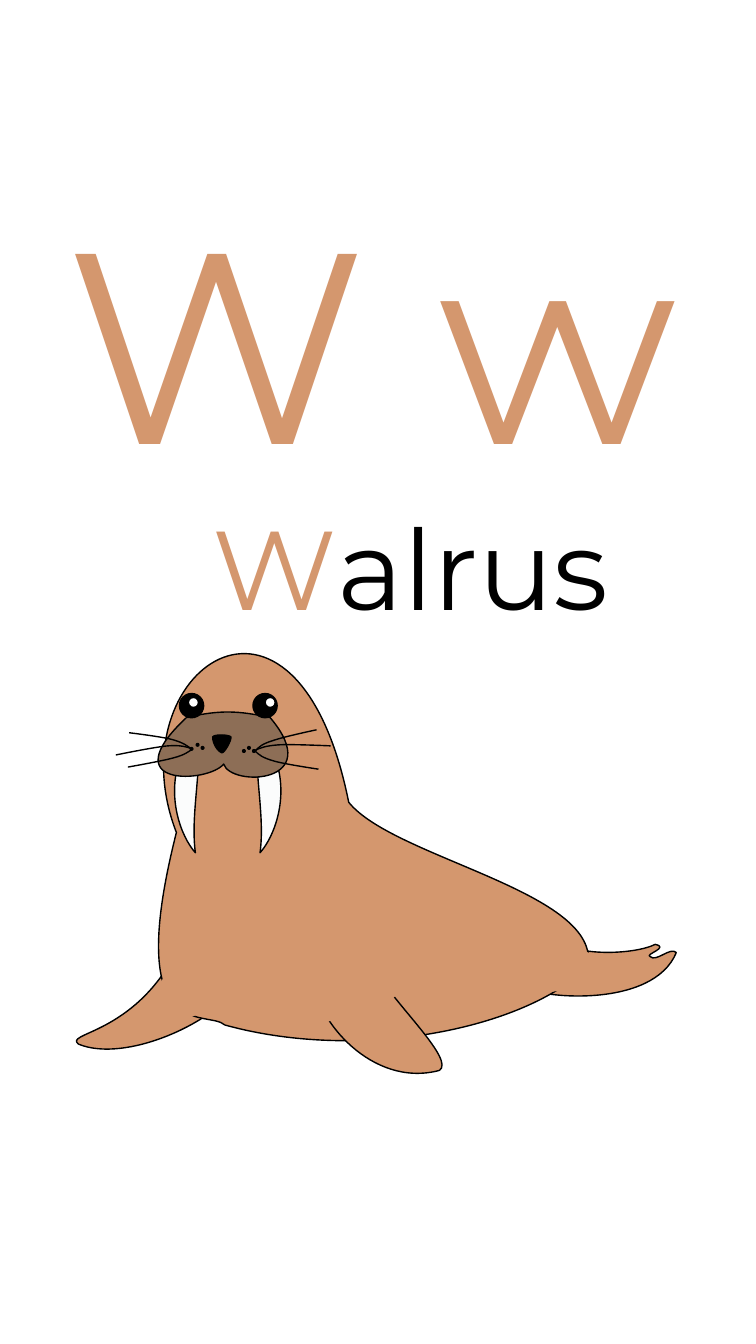
import pptx
import pptx.util
import pptx.dml.color
import pptx.enum.shapes
import pptx.enum.text
import pptx.oxml.ns
import lxml.etree

# Content: all coordinates are points on the slide
COLOURS = {"hide": "D4976E", "muzzle": "8D6E56", "tusk": "FBFCFC",
           "black": "000000", "white": "FFFFFF"}
FONT = "Montserrat"

# An outline is a start point, then lines (x, y) and curves (two controls, end)
LEFT_FLIPPER = [(56.2, 745.9), (45.4, 738, 90.7, 739.4, 121.7, 687.6),
                (166.3, 707.8), (151.9, 730.1, 90, 759.6, 56.2, 745.9)]
TAIL = [(370.8, 670.3), (396.7, 670.3),
        (410.4, 684, 453.6, 681.8, 468, 674.6),
        (478.8, 676.8, 460.1, 681.8, 464.4, 683.3),
        (468.7, 687.6, 478.8, 676.1, 483.1, 680.4),
        (466.6, 720.7, 385.2, 713.5, 370.8, 704.2)]
BODY = [(126, 594.7), (81.4, 479.5, 211.7, 386.6, 249.1, 573.1),
        (281.5, 613.4, 430.6, 637.2, 419.8, 690.5),
        (375.1, 735.1, 257, 758.9, 160.6, 732.2),
        (148.3, 720.7, 87.1, 748.1, 126, 594.7)]
RIGHT_TUSK = [(197.3, 543.6), (205.9, 569.5, 196.6, 596.9, 185.8, 609.1),
              (188.6, 588.2, 184.3, 565.2, 183.6, 543.6)]
FRONT_FLIPPER = [(313.9, 764.6), (324.7, 757.4, 285.8, 720.7, 272.2, 699.1),
                 (225.4, 703.4), (225.4, 726.5, 265, 777.6, 313.9, 764.6)]
MUZZLE = [(133.2, 512.6), (157, 506.9, 170.6, 507.6, 193, 512.6),
          (233.3, 560.2, 164.9, 562.3, 159.8, 545.8),
          (149, 559.4, 79.2, 563, 133.2, 512.6)]
NOSE = [(164.9, 526.3), (165.6, 528.5, 160.6, 537.8, 158.4, 537.8),
        (156.2, 537.1, 151.9, 532.1, 151.9, 526.3),
        (154.1, 524.2, 163.4, 524.9, 164.9, 526.3)]
# Plain patches that blend the limbs into the body
JOINTS = [
    [(301.7, 684.7), (301.7, 671, 249.1, 683.3, 223.2, 682.6),
     (200.9, 723.6), (221, 736.6, 284.4, 731.5, 301.7, 684.7)],
    [(432, 696.2), (439.2, 684.7, 389.5, 666, 368.6, 650.2),
     (326.9, 672.5), (335.5, 694.1, 391.7, 725.8, 432, 696.2)],
    [(185.8, 681.1), (187.9, 668.9, 144, 685.4, 123.1, 687.6),
     (99.4, 727.9), (113, 738, 165.6, 725.8, 185.8, 681.1)],
]
WHISKERS = [
    [(182.2, 536.4), (185, 533.5, 187.2, 531.4, 194.4, 529.2),
     (202.3, 526.3, 226.1, 521.3, 226.1, 521.3)],
    [(181.4, 536.4), (185.8, 534.2, 189.4, 532.8, 198.7, 532.1),
     (207.4, 531.4, 236.2, 532.8, 236.2, 532.8)],
    [(182.2, 536.4), (185, 539.3, 187.9, 541.4, 195.8, 543.6),
     (203, 545.8, 227.5, 549.4, 227.5, 549.4)],
    [(136.8, 535), (133.9, 532.8, 131, 530.6, 123.8, 528.5),
     (116.6, 526.3, 92.2, 523.4, 92.2, 523.4)],
    [(137.5, 535), (133.2, 533.5, 128.9, 532.1, 120.2, 532.8),
     (110.9, 533.5, 82.8, 539.3, 82.8, 539.3)],
    [(137.5, 535), (134.6, 537.1, 131.8, 539.3, 123.8, 541.4),
     (115.9, 543.6, 91.4, 547.9, 91.4, 547.9)],
]
EYES = [(180.7, 495.4), (128.2, 495.4)]
GLINTS = [(134.6, 498.2), (189.4, 498.2)]
FRECKLES = [(180, 535), (172.8, 535), (176.4, 532.8),
            (143.3, 532.8), (139.7, 530.6), (135.4, 533.5)]
CURVE_STEPS = 32

Pt = pptx.util.Pt
qn = pptx.oxml.ns.qn
deck = pptx.Presentation()
deck.slide_width, deck.slide_height = Pt(540), Pt(960)
page = deck.slides.add_slide(deck.slide_layouts[6])


def rgb(name):
    return pptx.dml.color.RGBColor.from_string(COLOURS[name])


def add_text(spans, left, top, width, height, size):
    """Add one line of text; spans are (text, colour) pairs."""
    box = page.shapes.add_textbox(Pt(left), Pt(top), Pt(width), Pt(height))
    box.text_frame.word_wrap = True
    box.text_frame.vertical_anchor = pptx.enum.text.MSO_ANCHOR.TOP
    para = box.text_frame.paragraphs[0]
    for text, colour in spans:
        span = para.add_run()
        span.text = text
        span.font.name = FONT
        span.font.size = Pt(size)
        span.font.color.rgb = rgb(colour)


def style(shape, fill, outlined):
    shape.shadow.inherit = False
    if fill:
        shape.fill.solid()
        shape.fill.fore_color.rgb = rgb(fill)
    else:
        shape.fill.background()
    if outlined:
        shape.line.color.rgb = rgb("black")
        shape.line.width = Pt(1)
    else:
        shape.line.fill.background()


def trace(outline):
    """Sample the outline, to find the bounds of its curves."""
    points = [outline[0]]
    for segment in outline[1:]:
        if len(segment) == 2:
            points.append(segment)
            continue
        nodes = points[-1], segment[:2], segment[2:4], segment[4:]
        for step in range(1, CURVE_STEPS + 1):
            t = step / CURVE_STEPS
            weights = (1 - t) ** 3, 3 * t * (1 - t) ** 2, 3 * t * t * (1 - t), t ** 3
            points.append(tuple(sum(w * node[axis] for w, node in zip(weights, nodes))
                                for axis in (0, 1)))
    return points


def add_outline(outline, fill=None, outlined=True):
    """Size a freeform by its sampled bounds, then give it true curves."""
    points = [(Pt(x), Pt(y)) for x, y in trace(outline)]
    builder = page.shapes.build_freeform(*points[0], scale=1.0)
    builder.add_line_segments(points[1:], close=False)
    shape = builder.convert_to_shape()
    route = shape.element.find(".//" + qn("a:path"))
    for step in list(route):
        route.remove(step)
    for index, segment in enumerate(outline):
        kind = "a:moveTo" if index == 0 else "a:lnTo" if len(segment) == 2 else "a:cubicBezTo"
        step = lxml.etree.SubElement(route, qn(kind))
        for x, y in zip(segment[::2], segment[1::2]):
            lxml.etree.SubElement(step, qn("a:pt"), x=str(Pt(x) - shape.left),
                                  y=str(Pt(y) - shape.top))
    if fill:
        lxml.etree.SubElement(route, qn("a:close"))
    style(shape, fill, outlined)


def add_circles(corners, diameter, fill, outlined=True):
    for left, top in corners:
        circle = page.shapes.add_shape(pptx.enum.shapes.MSO_SHAPE.OVAL, Pt(left), Pt(top),
                                       Pt(diameter), Pt(diameter))
        style(circle, fill, outlined)


def mirror(outline, axis):
    return [tuple(2 * axis - value if index % 2 == 0 else value
                  for index, value in enumerate(segment)) for segment in outline]


# Letters and word
add_text([("W w", "hide")], 39.6, 120.2, 486, 242.6, size=194)
add_text([("W", "hide"), ("alrus", "black")], 144.7, 352.8, 337.7, 104.4, size=80)

# Body, limbs and tusks
for part in (LEFT_FLIPPER, TAIL, BODY):
    add_outline(part, "hide")
for tusk in (RIGHT_TUSK, mirror(RIGHT_TUSK, axis=162.7)):
    add_outline(tusk, "tusk")
add_outline(FRONT_FLIPPER, "hide")

# Face
add_outline(MUZZLE, "muzzle")
add_outline(NOSE, "black")
add_circles(EYES, 17.3, "black")
add_circles(GLINTS, 7.2, "white")
add_circles(FRECKLES, 2.9, "black", outlined=False)

# Joints and whiskers
for joint in JOINTS:
    add_outline(joint, "hide", outlined=False)
for whisker in WHISKERS:
    add_outline(whisker)

deck.save("out.pptx")
